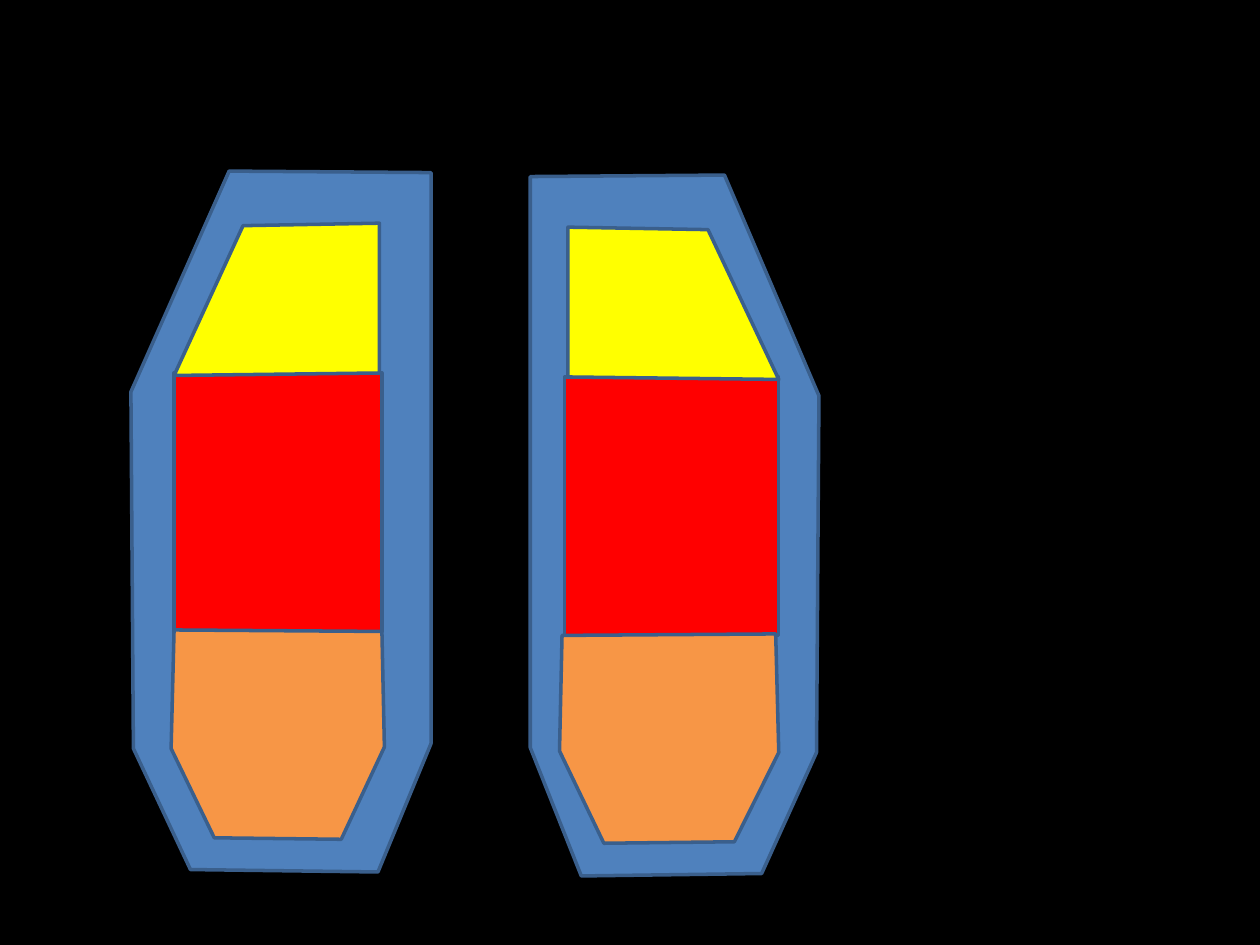
from dataclasses import dataclass

from pptx import Presentation
from pptx import util as u
from pptx.dml.color import RGBColor
from pptx.enum import shapes
from pptx.shapes.autoshape import Shape
from pptx.slide import Slide

Point = tuple[float, float]

OUTLINE = "3A5F8C"
MIRROR_DROP = 0.08


@dataclass(frozen=True)
class Zone:
    color: str
    points: list[Point]
    mirror_right: float
    mirror_width: float
    is_rect: bool = False

    def mirrored(self) -> list[Point]:
        xs = [x for x, _ in self.points]
        left = min(xs)
        scale = self.mirror_width / (max(xs) - left)
        return [(self.mirror_right - (x - left) * scale, y + MIRROR_DROP)
                for x, y in self.points]


ZONES = [
    Zone("4F81BD", [(4.62, 3.45), (8.69, 3.48), (8.69, 14.99), (7.62, 17.58),
                    (3.84, 17.53), (2.69, 15.09), (2.64, 7.9)], 16.51, 5.82),
    Zone("FF0000", [(3.51, 7.52), (7.7, 12.73)], 15.7, 4.32, is_rect=True),
    Zone("FFFF00", [(7.65, 7.52), (7.65, 4.5), (4.9, 4.55), (3.51, 7.57)],
         15.7, 4.25),
    Zone("F79646", [(7.7, 12.73), (7.75, 15.06), (6.88, 16.92), (4.32, 16.89),
                    (3.45, 15.09), (3.51, 12.7)], 15.7, 4.42),
]


def rgb(value: str) -> RGBColor:
    return RGBColor.from_string(value)


def add_rect(s: Slide, points: list[Point]) -> Shape:
    xs, ys = zip(*points)
    return s.shapes.add_shape(
        shapes.MSO_SHAPE.RECTANGLE, u.Cm(min(xs)), u.Cm(min(ys)),
        u.Cm(max(xs) - min(xs)), u.Cm(max(ys) - min(ys)))


def add_polygon(s: Slide, points: list[Point]) -> Shape:
    start, *rest = [(u.Cm(x), u.Cm(y)) for x, y in points]
    builder = s.shapes.build_freeform(*start)
    builder.add_line_segments(rest, close=True)
    return builder.convert_to_shape()


def draw_zone(s: Slide, zone: Zone, points: list[Point]) -> None:
    sp = add_rect(s, points) if zone.is_rect else add_polygon(s, points)
    sp.shadow.inherit = False
    sp.fill.solid()
    sp.fill.fore_color.rgb = rgb(zone.color)
    sp.line.color.rgb = rgb(OUTLINE)
    sp.line.width = u.Pt(2)


def main() -> None:
    prs = Presentation()
    prs.slide_width, prs.slide_height = u.Cm(25.4), u.Cm(19.05)
    s = prs.slides.add_slide(prs.slide_layouts[6])
    s.background.fill.solid()
    s.background.fill.fore_color.rgb = rgb("000000")
    for zone in ZONES:
        draw_zone(s, zone, zone.points)
    for zone in ZONES:
        draw_zone(s, zone, zone.mirrored())
    prs.save("out.pptx")


if __name__ == "__main__":
    main()
